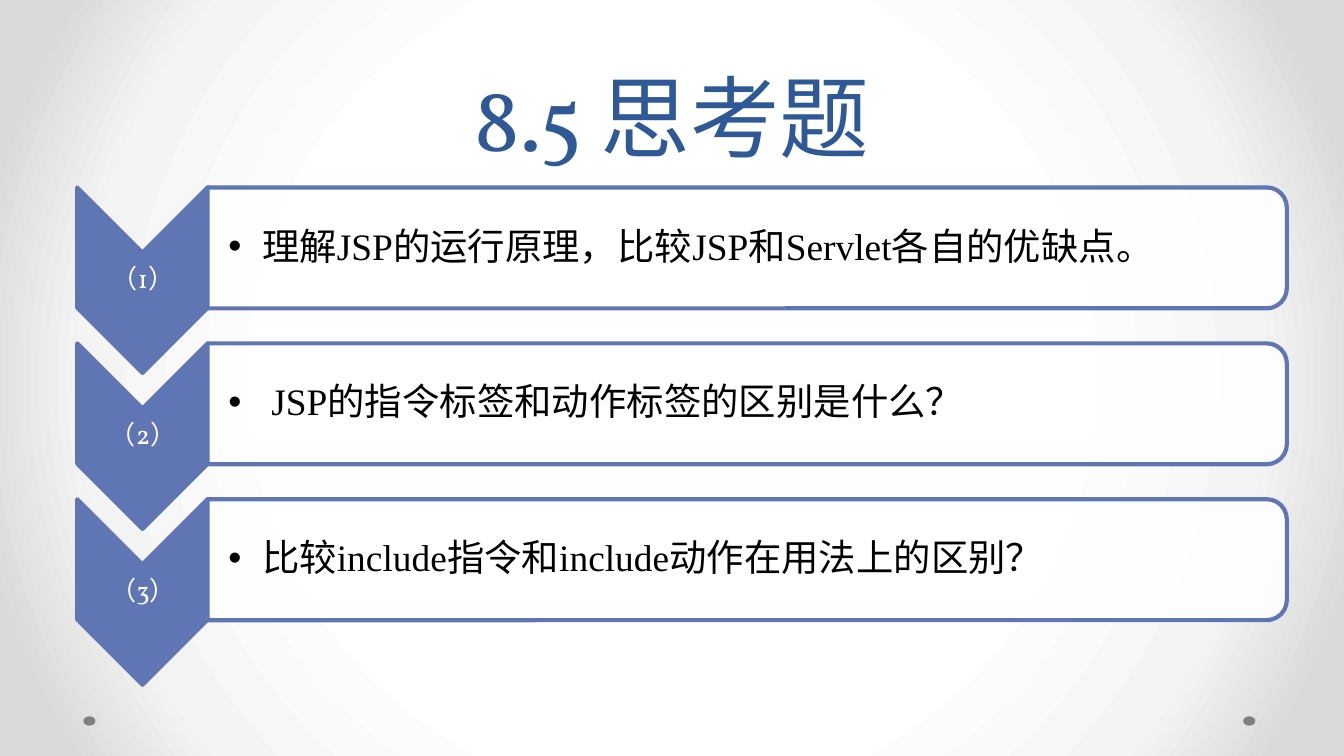
from lxml import etree
from pptx import Presentation
from pptx.dml.color import RGBColor
from pptx.enum.shapes import MSO_SHAPE as SHAPE
from pptx.enum.text import MSO_ANCHOR as ANCHOR, MSO_AUTO_SIZE as AUTO_SIZE, PP_ALIGN as ALIGN
from pptx.oxml.ns import qn
from pptx.util import Inches, Pt

COLORS = {
    "title": "2F5897",
    "accent": "6076B4",
    "dot": "808080",
    "white": "FFFFFF",
    "black": "000000",
}
BACKDROP_STOPS = [(50, "FFFFFF"), (76, "F4F4F4"), (92, "DADADA")]
QUESTIONS = [
    "理解JSP的运行原理，比较JSP和Servlet各自的优缺点。",
    " JSP的指令标签和动作标签的区别是什么？",
    "比较include指令和include动作在用法上的区别？",
]
FIRST_TOP, ROW_STEP = 1.6, 1.16


def write(holder, text, *, size, font, color, spacing, align=ALIGN.LEFT,
          anchor=ANCHOR.MIDDLE, insets=None, bullet=False):
    """Put one formatted paragraph in a shape's text frame."""
    frame = holder.text_frame
    frame.word_wrap = True
    frame.auto_size = AUTO_SIZE.NONE
    frame.vertical_anchor = anchor
    if insets:
        frame.margin_left, frame.margin_top, frame.margin_right, frame.margin_bottom = map(Inches, insets)
    paragraph = frame.paragraphs[0]
    paragraph.alignment = align
    paragraph.line_spacing = spacing
    run = paragraph.add_run()
    run.text = text
    run.font.size = Pt(size)
    run.font.name = font
    run.font.color.rgb = RGBColor.from_string(COLORS[color])
    if bullet:
        paragraph.level = 1
        properties = paragraph._p.get_or_add_pPr()
        properties.set("marL", str(Inches(0.25)))
        properties.set("indent", str(Inches(-0.25)))
        etree.SubElement(properties, qn("a:buFont"), typeface="Arial")
        etree.SubElement(properties, qn("a:buChar"), char="•")


def draw(kind, left, top, width, height, *, fill, line=None, alpha=None, rotation=0):
    """Add a flat preset shape, optionally outlined, see-through or turned."""
    shape = slide.shapes.add_shape(kind, Inches(left), Inches(top), Inches(width), Inches(height))
    shape.shadow.inherit = False
    shape.rotation = rotation
    shape.fill.solid()
    shape.fill.fore_color.rgb = RGBColor.from_string(COLORS[fill])
    if alpha:
        color = shape._element.spPr.find(qn("a:solidFill"))[0]
        etree.SubElement(color, qn("a:alpha"), val=str(alpha * 1000))
    if line:
        shape.line.color.rgb = RGBColor.from_string(COLORS[line])
        shape.line.width = Pt(2.25)
        etree.SubElement(shape._element.spPr.find(qn("a:ln")), qn("a:round"))
    else:
        shape.line.fill.background()


# A 16:9 slide
prs = Presentation()
prs.slide_width = Inches(10)
prs.slide_height = Inches(10 * 9 / 16)
slide = prs.slides.add_slide(prs.slide_layouts[5])

# Background: radial gradient from the centre
slide.background.fill.gradient()
gradient = slide._element.find(".//" + qn("a:gradFill"))
for child in list(gradient):
    gradient.remove(child)
stops = etree.SubElement(gradient, qn("a:gsLst"))
for position, color in BACKDROP_STOPS:
    stop = etree.SubElement(stops, qn("a:gs"), pos=str(position * 1000))
    etree.SubElement(stop, qn("a:srgbClr"), val=color)
circle = etree.SubElement(gradient, qn("a:path"), path="circle")
etree.SubElement(circle, qn("a:fillToRect"), l="50000", t="50000", r="50000", b="50000")

# Footer dots
for dot_left in (9.25, 0.62):
    draw(SHAPE.OVAL, dot_left, 5.33, 0.09, 0.07, fill="dot")

# Title
title = slide.shapes.title
title.left, title.top, title.width, title.height = map(Inches, (0.5, 0, 9, 1.31))
write(title, "8.5 思考题", size=48, font="Vollkorn", color="title", spacing=Pt(58),
      align=ALIGN.CENTER, anchor=ANCHOR.BOTTOM)

# Questions: a numbered chevron and a rounded panel per row
for index, question in enumerate(QUESTIONS):
    top = FIRST_TOP + index * ROW_STEP
    draw(SHAPE.CHEVRON, 0.37, top, 1.38, 0.97, fill="accent", line="accent", rotation=90)
    number = slide.shapes.add_textbox(Inches(0.58), Inches(top + 0.28), Inches(0.97), Inches(0.41))
    write(number, f"（{index + 1}）", size=14, font="Vollkorn", color="white", spacing=0.9,
          align=ALIGN.CENTER, insets=(0.01, 0.01, 0.01, 0.01))

    draw(SHAPE.ROUND_2_SAME_RECTANGLE, 5.11, top - 3.77, 0.9, 8.03,
         fill="white", line="accent", alpha=90, rotation=90)
    panel_text = slide.shapes.add_textbox(Inches(1.54), Inches(top - 0.16), Inches(7.99), Inches(0.81))
    write(panel_text, question, size=20, font="Times New Roman", color="black", spacing=0.9,
          insets=(0.16, 0.01, 0.01, 0.01), bullet=True)

prs.save("out.pptx")
